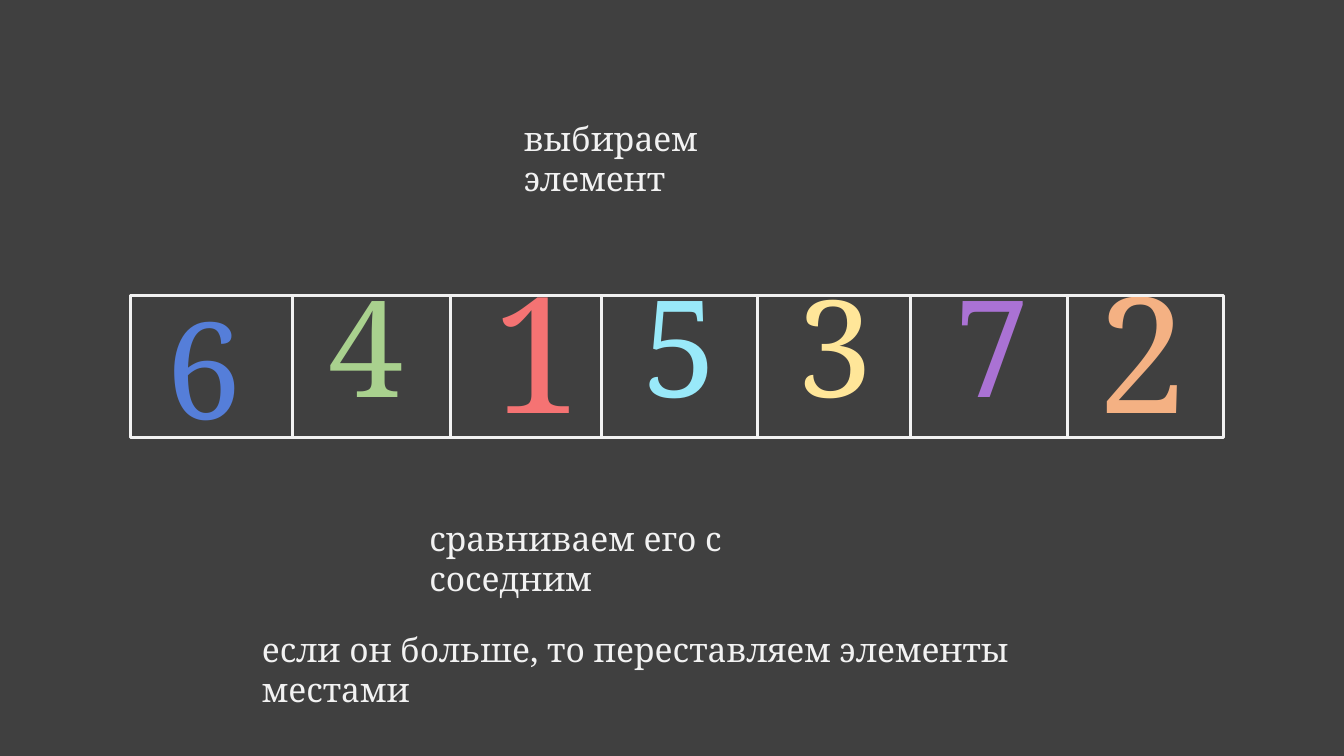
"""Build the slide that explains one step of bubble sort on a row of seven numbers."""
from lxml.etree import SubElement
from pptx import Presentation
from pptx.dml.color import RGBColor
from pptx.enum.shapes import MSO_CONNECTOR as Connector, MSO_SHAPE as Shape
from pptx.enum.text import MSO_AUTO_SIZE as AutoSize
from pptx.oxml.ns import qn
from pptx.util import Cm, Pt

COLORS = {
    "background": "404040", "light": "F2F2F2", "blue": "557ED9", "green": "A9D18E",
    "red": "F57373", "cyan": "99E9F9", "yellow": "FFE699", "violet": "AA72D4",
    "orange": "F4B183",
}
FONT = "Noto Serif"

NUMBERS = [
    ("6", "blue", 96, 3.94, 7.06),
    ("4", "green", 96, 8.03, 6.5),
    ("1", "red", 115, 12.17, 6.25),
    ("5", "cyan", 96, 15.93, 6.5),
    ("3", "yellow", 96, 19.84, 6.5),
    ("7", "violet", 96, 23.8, 6.5),
    ("2", "orange", 115, 27.41, 6.25),
]
STEPS = [
    ("выбираем элемент", 12.95, 2.84, 8.03),
    ("сравниваем его с соседним", 10.57, 12.93, 11.25),
    ("если он больше, то переставляем элементы местами", 6.35, 15.72, 21.44),
]
ROW_LEFT, ROW_TOP, ROW_WIDTH, ROW_HEIGHT = 3.3, 7.44, 27.53, 3.58
DIVIDERS = [7.37, 11.35, 15.16, 19.08, 22.94, 26.9]
NUMBER_WIDTH, STEP_HEIGHT = 2.92, 1.27
NUMBER_HEIGHTS = {96: 4.37, 115: 5.18}


def color(name):
    return RGBColor.from_string(COLORS[name])


def set_format(target, values):
    for attribute, value in values.items():
        setattr(target, attribute, value)


def write(text, box, size, color_name):
    label = slide.shapes.add_textbox(*map(Cm, box))
    set_format(label.text_frame, {"word_wrap": True, "auto_size": AutoSize.SHAPE_TO_FIT_TEXT})
    run = label.text_frame.paragraphs[0].add_run()
    run.text = text
    set_format(run.font, {"name": FONT, "size": Pt(size)})
    run.font.color.rgb = color(color_name)


def outline(part):
    part.line.color.rgb = color("light")
    part.line.width = Pt(2.25)


deck = Presentation()
set_format(deck, {"slide_width": Cm(33.87), "slide_height": Cm(19.05)})
slide = deck.slides.add_slide(deck.slide_layouts[6])
slide.background.fill.solid()
slide.background.fill.fore_color.rgb = color("background")

for number, color_name, size, left, top in NUMBERS:
    write(number, (left, top, NUMBER_WIDTH, NUMBER_HEIGHTS[size]), size, color_name)

row = slide.shapes.add_group_shape().shapes
frame = row.add_shape(Shape.RECTANGLE, *map(Cm, (ROW_LEFT, ROW_TOP, ROW_WIDTH, ROW_HEIGHT)))
frame.shadow.inherit = False
frame.fill.background()
outline(frame)
for x in DIVIDERS:
    ends = (x, ROW_TOP, x, ROW_TOP + ROW_HEIGHT)
    divider = row.add_connector(Connector.STRAIGHT, *map(Cm, ends))
    outline(divider)
    SubElement(divider._element.spPr, qn("a:effectLst"))

for step, left, top, width in STEPS:
    write(step, (left, top, width, STEP_HEIGHT), 24, "light")

deck.save("out.pptx")
